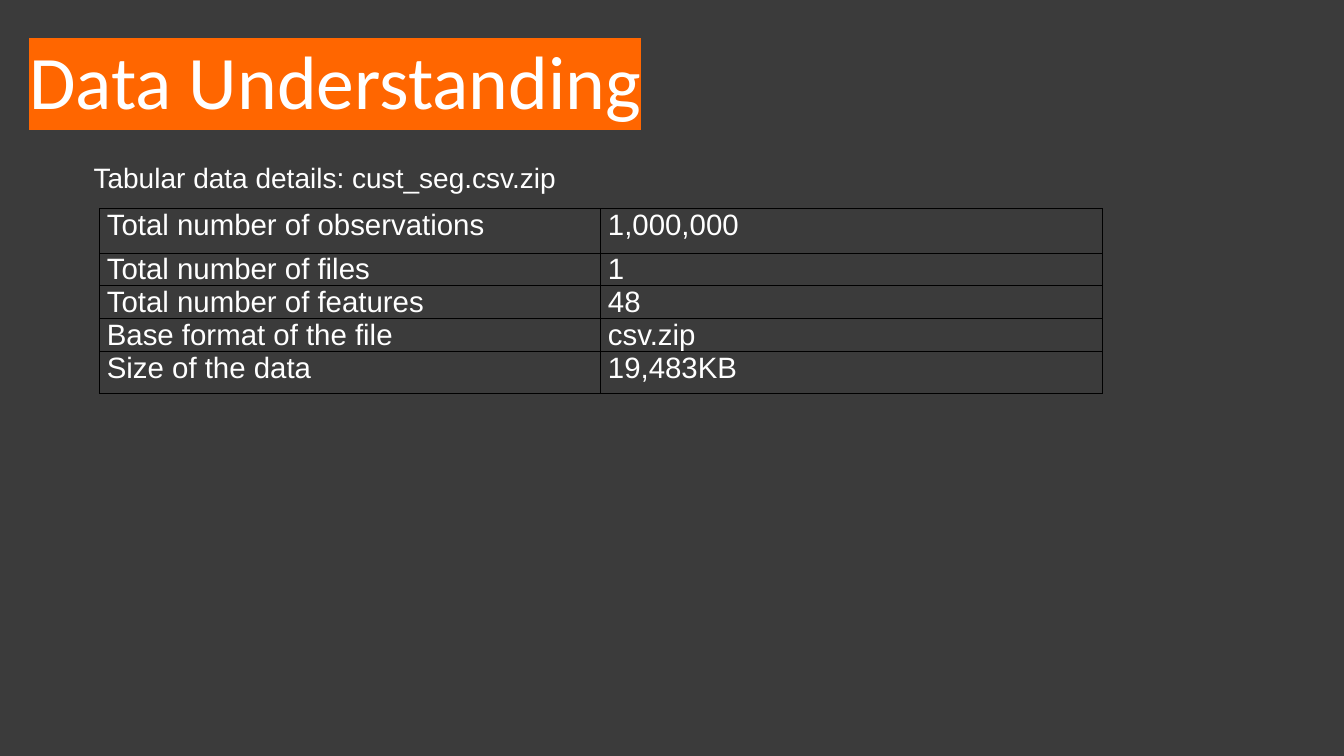
from dataclasses import dataclass

from lxml import etree
from pptx import Presentation
from pptx.dml.color import RGBColor
from pptx.enum.text import MSO_ANCHOR, MSO_AUTO_SIZE, PP_ALIGN
from pptx.oxml.ns import qn
from pptx.slide import Slide
from pptx.table import _Cell
from pptx.text.text import TextFrame
from pptx.util import Emu, Pt

LEFT = PP_ALIGN.LEFT
TOP, MIDDLE, BOTTOM = MSO_ANCHOR.TOP, MSO_ANCHOR.MIDDLE, MSO_ANCHOR.BOTTOM
NO_AUTOFIT = MSO_AUTO_SIZE.NONE
TITLE_ONLY = 5
EMU_PER_PX = 9144  # 100 px to the inch


@dataclass(frozen=True)
class Theme:
    background: str = "3B3B3B"
    text: str = "FFFFFF"
    highlight: str = "FF6600"
    border: str = "000000"
    title_font: str = "Calibri"
    body_font: str = "Arial"
    title_size: int = 54
    caption_size: int = 20
    cell_size: int = 21
    border_width: float = 0.75


@dataclass(frozen=True)
class Box:
    left: int
    top: int
    width: int
    height: int

    def emu(self) -> tuple[Emu, Emu, Emu, Emu]:
        return px(self.left), px(self.top), px(self.width), px(self.height)


@dataclass(frozen=True)
class Detail:
    label: str
    value: str
    height: int = 20


THEME = Theme()
TITLE_BOX = Box(19, 38, 1000, 92)
CAPTION_BOX = Box(83, 156, 537, 39)
TABLE_BOX = Box(99, 207, 994, 146)
DETAILS = [
    Detail("Total number of observations", "1,000,000", 44),
    Detail("Total number of files", "1"),
    Detail("Total number of features", "48"),
    Detail("Base format of the file", "csv.zip"),
    Detail("Size of the data", "19,483KB", 42),
]


def px(length: int) -> Emu:
    return Emu(length * EMU_PER_PX)


def write(frame: TextFrame, text: str, font: str, size: int) -> None:
    frame.text = text
    para = frame.paragraphs[0]
    para.alignment = LEFT
    style = para.runs[0].font
    style.name = font
    style.size = Pt(size)
    style.color.rgb = RGBColor.from_string(THEME.text)


def set_margins(target: TextFrame | _Cell, across: int, down: int) -> None:
    target.margin_left = target.margin_right = px(across)
    target.margin_top = target.margin_bottom = px(down)


def add_color(parent: etree._Element, color: str) -> None:
    etree.SubElement(parent, qn("a:srgbClr"), val=color)


def draw_borders(cell: _Cell) -> None:
    properties = cell._tc.get_or_add_tcPr()
    for index, side in enumerate(("lnL", "lnR", "lnT", "lnB")):
        line = etree.Element(qn(f"a:{side}"), w=str(Pt(THEME.border_width)))
        add_color(etree.SubElement(line, qn("a:solidFill")), THEME.border)
        properties.insert(index, line)


def add_title(page: Slide) -> None:
    title = page.shapes.title
    title.left, title.top, title.width, title.height = TITLE_BOX.emu()
    frame = title.text_frame
    write(frame, "Data Understanding", THEME.title_font, THEME.title_size)
    frame.auto_size = NO_AUTOFIT
    frame.vertical_anchor = BOTTOM
    set_margins(frame, 10, 5)
    para = frame.paragraphs[0]
    para.line_spacing = 0.9
    # The highlight follows the text fill
    highlight = etree.Element(qn("a:highlight"))
    add_color(highlight, THEME.highlight)
    para.runs[0]._r.rPr.find(qn("a:solidFill")).addnext(highlight)


def add_caption(page: Slide) -> None:
    frame = page.shapes.add_textbox(*CAPTION_BOX.emu()).text_frame
    frame.word_wrap = True
    frame.vertical_anchor = MIDDLE
    set_margins(frame, 10, 10)
    write(frame, "Tabular data details: cust_seg.csv.zip",
          THEME.body_font, THEME.caption_size)


def add_details(page: Slide) -> None:
    table = page.shapes.add_table(len(DETAILS), 2, *TABLE_BOX.emu()).table
    table.first_row = table.horz_banding = False
    for row, detail in zip(table.rows, DETAILS):
        row.height = px(detail.height)
        for cell, text in zip(row.cells, (detail.label, detail.value)):
            write(cell.text_frame, text, THEME.body_font, THEME.cell_size)
            set_margins(cell, 7, 0)
            cell.vertical_anchor = TOP
            cell.fill.background()
            draw_borders(cell)


def main() -> None:
    deck = Presentation()
    deck.slide_width, deck.slide_height = px(1333), px(750)
    page = deck.slides.add_slide(deck.slide_layouts[TITLE_ONLY])
    fill = page.background.fill
    fill.solid()
    fill.fore_color.rgb = RGBColor.from_string(THEME.background)
    add_title(page)
    add_details(page)
    add_caption(page)
    deck.save("out.pptx")


if __name__ == "__main__":
    main()
